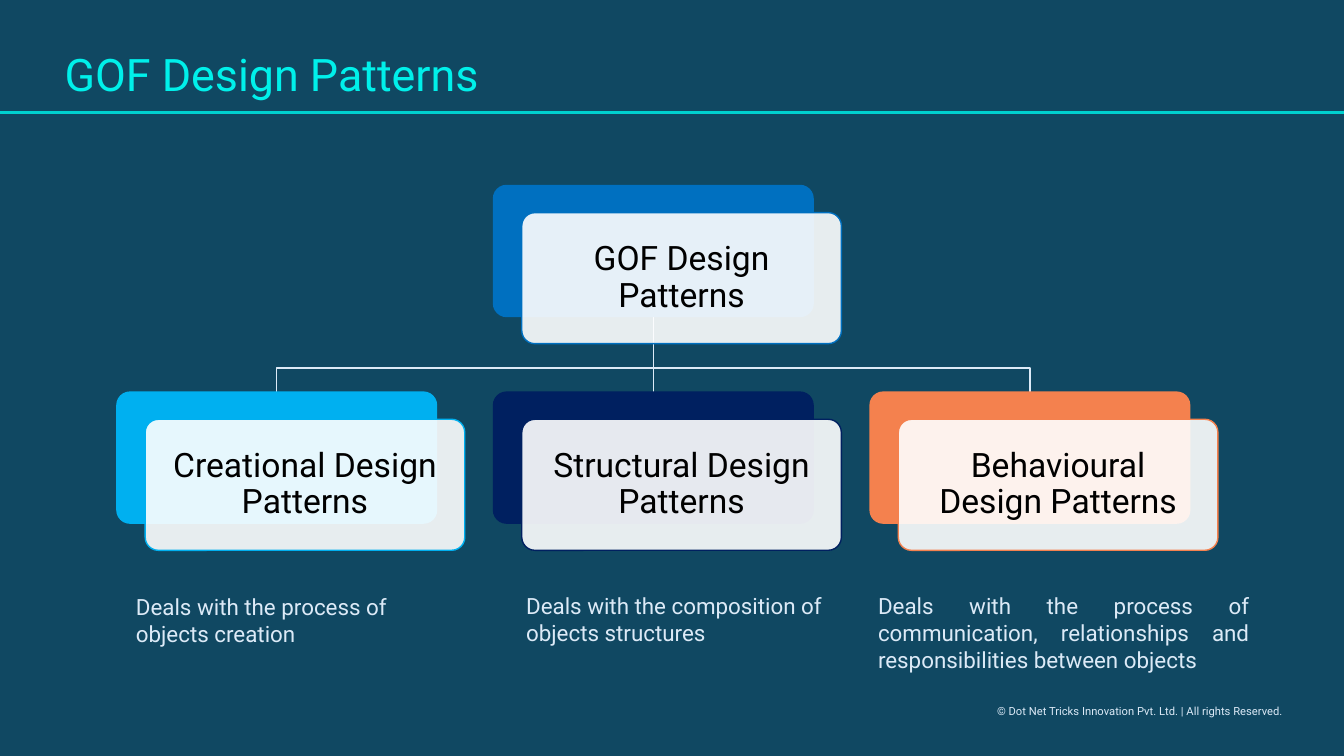
from lxml import etree
from pptx import Presentation
from pptx import util as u
from pptx.dml.color import RGBColor
from pptx.enum import shapes, text
from pptx.oxml.ns import qn

NAVY = RGBColor(0x10, 0x48, 0x62)
AQUA = RGBColor(0x00, 0xF0, 0xEA)
TEAL = RGBColor(0x00, 0xD1, 0xCF)
PALE = RGBColor(0xDC, 0xEA, 0xF7)
WHITE = RGBColor(0xFF, 0xFF, 0xFF)
BLACK = RGBColor(0x00, 0x00, 0x00)
BLUE = RGBColor(0x00, 0x70, 0xC0)
SKY = RGBColor(0x00, 0xB0, 0xF0)
INDIGO = RGBColor(0x00, 0x20, 0x60)
ORANGE = RGBColor(0xF4, 0x81, 0x4E)

CARD_WIDTH, CARD_HEIGHT = 3.17, 1.3
FRONT_SHIFT_X, FRONT_SHIFT_Y = 0.28, 0.27
FIRST_LEFT, COLUMN_STEP = 1.16, 3.735
ROOT_TOP, CHILD_TOP, BRANCH_Y = 1.84, 3.89, 3.65
PATTERNS = [
    ("Creational Design Patterns", SKY),
    ("Structural Design Patterns", INDIGO),
    ("Behavioural Design Patterns", ORANGE),
]
NOTES = [
    ("Deals with the process of objects creation", (1.25, 5.84, 3.24, 0.64), text.PP_ALIGN.LEFT),
    ("Deals with the composition of objects structures", (5.12, 5.83, 3.24, 0.64), text.PP_ALIGN.LEFT),
    ("Deals with the process of communication, relationships and responsibilities between objects",
     (8.61, 5.83, 3.88, 0.91), text.PP_ALIGN.JUSTIFY),
]


def apply(target, values):
    for name, value in values.items():
        setattr(target, name, value)


def write(box, words, size, color, frame_format=None, para_format=None):
    frame = box.text_frame
    apply(frame, {"word_wrap": True, **(frame_format or {})})
    para = frame.paragraphs[0]
    apply(para, para_format or {})
    span = para.add_run()
    span.text = words
    apply(span.font, {"name": "Roboto", "size": u.Pt(size)})
    span.font.color.rgb = color


def add_label(page, words, place, size, para_format=None):
    box = page.shapes.add_textbox(*map(u.Inches, place))
    write(box, words, size, PALE, para_format=para_format)


def add_line(page, start, end, color, width):
    line = page.shapes.add_connector(shapes.MSO_CONNECTOR.STRAIGHT, *map(u.Inches, start + end))
    line.line.color.rgb = color
    line.line.width = u.Pt(width)
    etree.SubElement(line._element.spPr, qn("a:effectLst"))
    return line


def add_branch(page, root_x, child_x):
    corners = [(root_x, BRANCH_Y), (child_x, BRANCH_Y), (child_x, CHILD_TOP)]
    builder = page.shapes.build_freeform(u.Inches(root_x), u.Inches(ROOT_TOP + CARD_HEIGHT))
    builder.add_line_segments([(u.Inches(x), u.Inches(y)) for x, y in corners], close=False)
    branch = builder.convert_to_shape()
    branch.shadow.inherit = False
    branch.fill.background()
    branch.line.color.rgb = PALE
    branch.line.width = u.Pt(1)


def add_panel(page, left, top, fill, outline):
    place = map(u.Inches, (left, top, CARD_WIDTH, CARD_HEIGHT))
    panel = page.shapes.add_shape(shapes.MSO_SHAPE.ROUNDED_RECTANGLE, *place)
    panel.adjustments[0] = 0.1
    panel.shadow.inherit = False
    panel.fill.solid()
    panel.fill.fore_color.rgb = fill
    panel.line.color.rgb = outline
    panel.line.width = u.Pt(1)
    return panel


def add_card(page, words, left, top, color):
    back = add_panel(page, left, top, color, color)
    front = add_panel(page, left + FRONT_SHIFT_X, top + FRONT_SHIFT_Y, WHITE, color)
    tint = front._element.spPr.find(qn("a:solidFill")).find(qn("a:srgbClr"))
    etree.SubElement(tint, qn("a:alpha"), val="90000")
    inset = u.Inches(0.14)
    sides = ("margin_left", "margin_top", "margin_right", "margin_bottom")
    write(front, words, 24, BLACK,
          {"vertical_anchor": text.MSO_ANCHOR.MIDDLE, **dict.fromkeys(sides, inset)},
          {"alignment": text.PP_ALIGN.CENTER, "line_spacing": 0.9})
    return back


def add_tree(page):
    lefts = [FIRST_LEFT + column * COLUMN_STEP for column in range(len(PATTERNS))]
    centers = [left + CARD_WIDTH / 2 for left in lefts]
    root_x = centers[1]
    add_branch(page, root_x, centers[2])
    stem = add_line(page, (root_x, ROOT_TOP + CARD_HEIGHT), (root_x, CHILD_TOP), PALE, 1)
    add_branch(page, root_x, centers[0])
    root = add_card(page, "GOF Design Patterns", lefts[1], ROOT_TOP, BLUE)
    children = [add_card(page, words, left, CHILD_TOP, color)
                for left, (words, color) in zip(lefts, PATTERNS)]
    stem.begin_connect(root, 2)
    stem.end_connect(children[1], 0)


def add_title(page, words):
    title = page.shapes.title
    apply(title, dict(zip(("left", "top", "width", "height"), map(u.Inches, (0.54, 0.47, 12.16, 0.58)))))
    write(title, words, 32, AQUA,
          {"vertical_anchor": text.MSO_ANCHOR.TOP, "auto_size": text.MSO_AUTO_SIZE.NONE},
          {"alignment": text.PP_ALIGN.LEFT, "line_spacing": 0.9, "space_before": u.Pt(0)})


def main():
    """Build the design patterns slide and save it."""
    deck = Presentation()
    apply(deck, {"slide_width": u.Inches(13.33), "slide_height": u.Inches(7.5)})
    page = deck.slides.add_slide(deck.slide_layouts[5])
    page.background.fill.solid()
    page.background.fill.fore_color.rgb = NAVY
    add_label(page, "© Dot Net Tricks Innovation Pvt. Ltd. | All rights Reserved.", (9.79, 6.94, 3.05, 0.24), 8)
    add_line(page, (0, 1.12), (13.33, 1.12), TEAL, 2)
    add_tree(page)
    add_title(page, "GOF Design Patterns")
    for words, place, alignment in NOTES:
        add_label(page, words, place, 16, {"alignment": alignment})
    deck.save("out.pptx")


if __name__ == "__main__":
    main()
